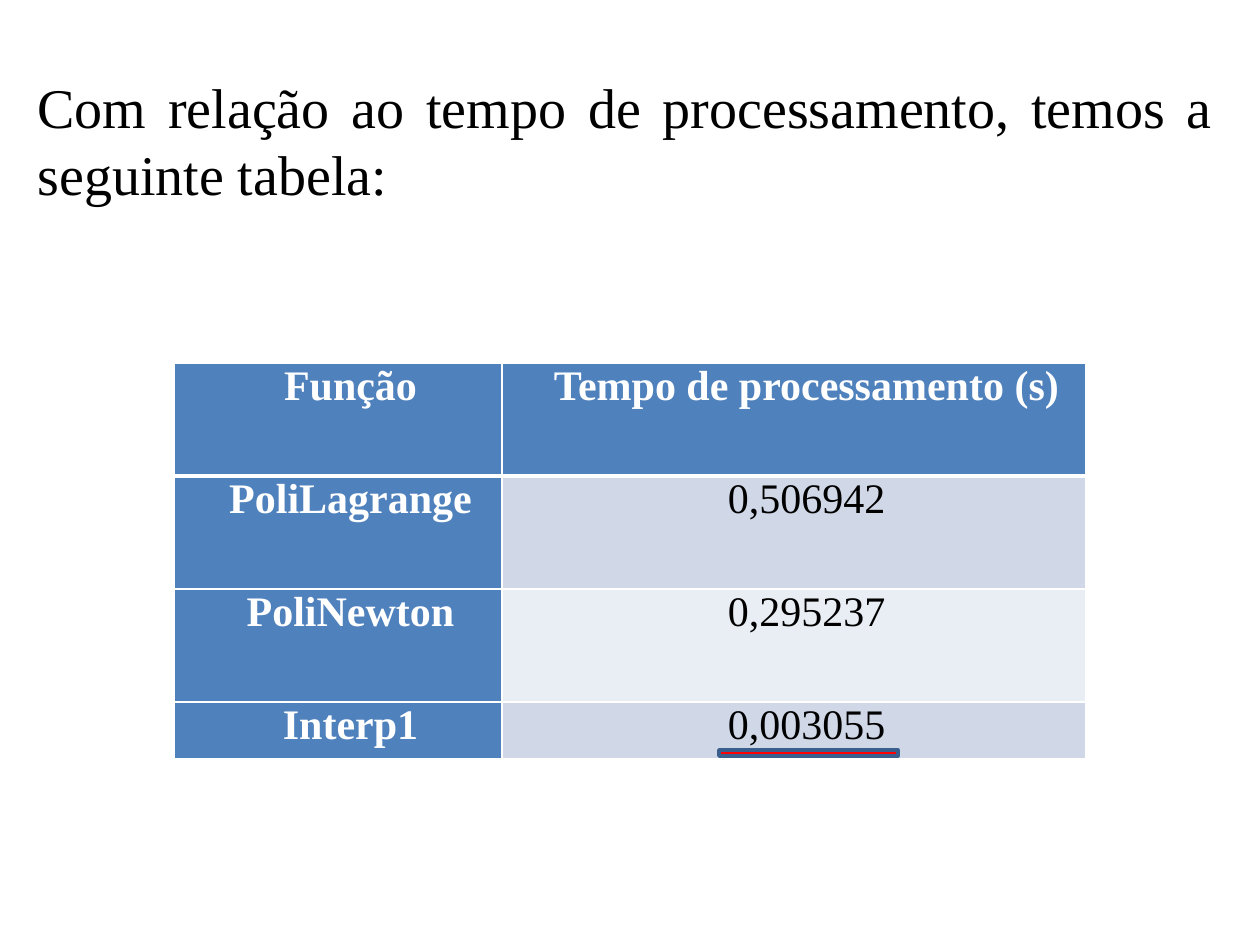
import lxml.etree
import pptx
import pptx.dml.color
import pptx.enum.shapes
import pptx.enum.text
import pptx.oxml.ns
import pptx.util

PX = 914400 / 126
THEME = {
    "font": "Times New Roman", "intro_size": 32, "table_size": 24,
    "text": "000000", "light": "FFFFFF", "header": "4F81BD",
    "bands": ["D0D8E8", "E9EDF4"], "mark": "FF0000", "mark_line": "3A5F8C",
}
ALIGN = pptx.enum.text.PP_ALIGN
rgb = pptx.dml.color.RGBColor.from_string


def px(*lengths):
    return [pptx.util.Emu(round(length * PX)) for length in lengths]


def write(frame, text, size, color, align, bold=False, indent=0, before=0):
    paragraph = frame.paragraphs[0]
    paragraph.alignment = align
    paragraph.space_before = pptx.util.Pt(before)
    if indent:
        properties = paragraph._p.get_or_add_pPr()
        properties.set("marL", "0")
        properties.set("indent", str(px(indent)[0]))
    run = paragraph.add_run()
    run.text = text
    run.font.name = THEME["font"]
    run.font.size = pptx.util.Pt(size)
    run.font.bold = bold
    run.font.color.rgb = rgb(color)


deck = pptx.Presentation()
deck.slide_width, deck.slide_height = px(1260, 945)
slide = deck.slides.add_slide(deck.slide_layouts[6])

# Introductory sentence
intro = slide.shapes.add_textbox(*px(25, 66, 1201, 149)).text_frame
intro.word_wrap = True
intro.auto_size = pptx.enum.text.MSO_AUTO_SIZE.SHAPE_TO_FIT_TEXT
write(intro, "Com relação ao tempo de processamento, temos a seguinte tabela:",
      THEME["intro_size"], THEME["text"], ALIGN.JUSTIFY)

# Processing times
timings = [
    ("Função", "Tempo de processamento (s)"),
    ("PoliLagrange", "0,506942"),
    ("PoliNewton", "0,295237"),
    ("Interp1", "0,003055"),
]
times = slide.shapes.add_table(len(timings), 2, *px(174, 363, 912, 396)).table
times.first_col = True
for column, width in zip(times.columns, px(328, 584)):
    column.width = width
for row, height in zip(times.rows, px(113, 113, 113, 57)):
    row.height = height

for r, timing in enumerate(timings):
    for c, text in enumerate(timing):
        cell = times.cell(r, c)
        heading = r == 0 or c == 0
        cell.margin_left, cell.margin_right = px(9, 9)
        cell.margin_top = cell.margin_bottom = 0
        cell.fill.solid()
        cell.fill.fore_color.rgb = rgb(
            THEME["header"] if heading else THEME["bands"][(r - 1) % 2])
        write(cell.text_frame, text, THEME["table_size"],
              THEME["light" if heading else "text"], ALIGN.CENTER,
              bold=heading, indent=25, before=6)

        # White rules, thicker under the header row
        thick = {"lnB"} if r == 0 else {"lnT"} if r == 1 else set()
        cell_properties = cell._tc.get_or_add_tcPr()
        for position, edge in enumerate(("lnL", "lnR", "lnT", "lnB")):
            rule = lxml.etree.Element(
                pptx.oxml.ns.qn("a:" + edge),
                w=str(pptx.util.Pt(3 if edge in thick else 1)))
            fill = lxml.etree.SubElement(rule, pptx.oxml.ns.qn("a:solidFill"))
            lxml.etree.SubElement(
                fill, pptx.oxml.ns.qn("a:srgbClr"), val=THEME["light"])
            cell_properties.insert(position, rule)

# Underline of the fastest time
fastest = slide.shapes.add_shape(
    pptx.enum.shapes.MSO_SHAPE.RECTANGLE, *px(719, 750, 179, 6))
fastest.shadow.inherit = False
fastest.fill.solid()
fastest.fill.fore_color.rgb = rgb(THEME["mark"])
fastest.line.color.rgb = rgb(THEME["mark_line"])
fastest.line.width = pptx.util.Pt(2)

deck.save("out.pptx")
